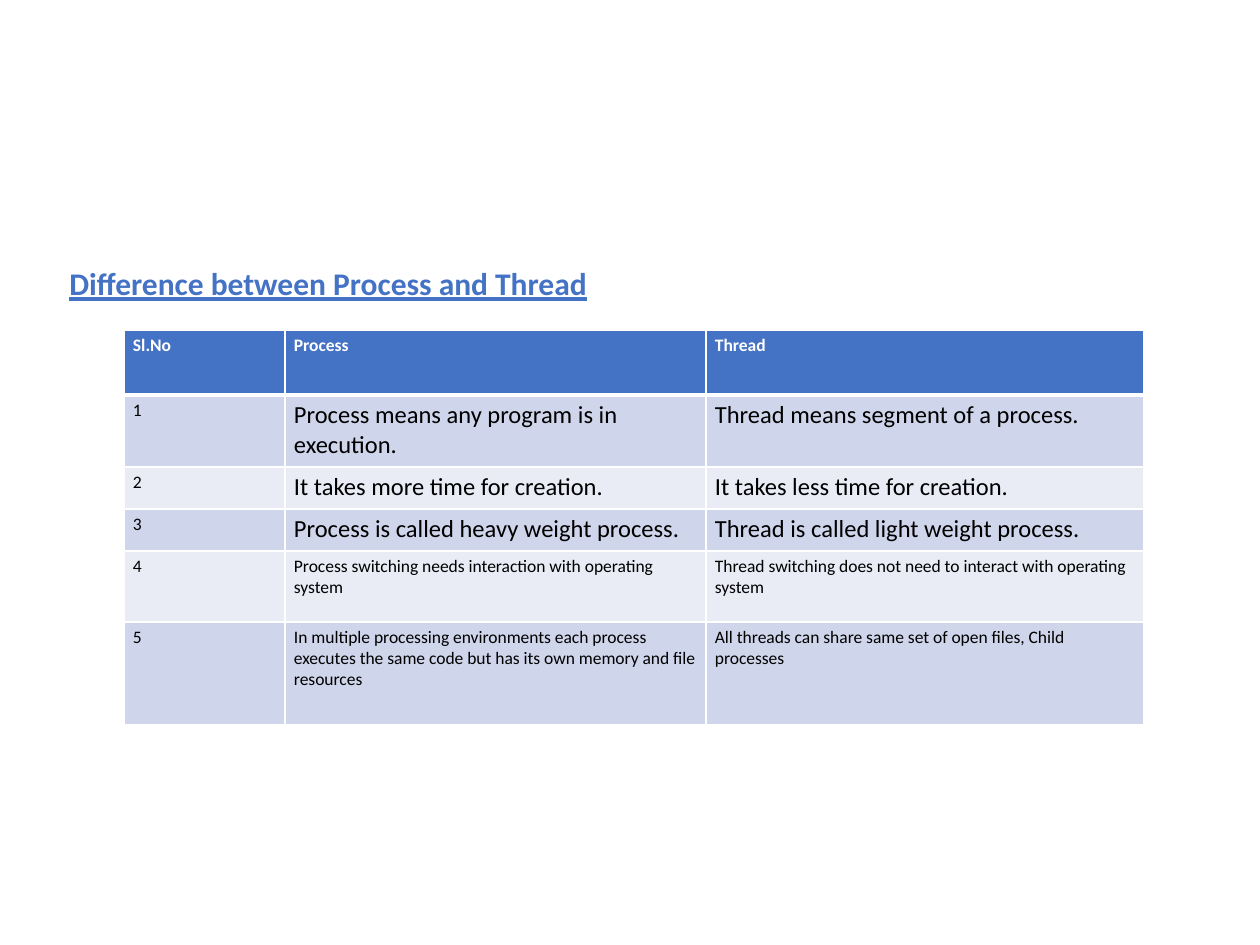
"""Build a slide with a table of the differences between process and thread."""
from dataclasses import dataclass

from lxml import etree
from pptx import Presentation
from pptx import util as u
from pptx.dml.color import RGBColor
from pptx.enum import text
from pptx.oxml.ns import qn

EMU_PER_PX = 914400 / 126
BLUE = RGBColor(0x44, 0x72, 0xC4)
WHITE = RGBColor(0xFF, 0xFF, 0xFF)
BLACK = RGBColor(0, 0, 0)
BAND_DARK = RGBColor(0xCF, 0xD5, 0xEA)
BAND_LIGHT = RGBColor(0xE9, 0xEB, 0xF5)
COLUMN_WIDTHS = (161, 421, 438)


@dataclass(frozen=True)
class Row:
    """One table row: its height in px, its texts and the size of the last two."""
    height: int
    texts: tuple[str, str, str]
    size: int = 10


ROWS = (
    Row(65, ("Sl.No", "Process", "Thread")),
    Row(72, ("1", "Process means any program is in execution.",
             "Thread means segment of a process."), 14),
    Row(42, ("2", "It takes more time for creation.",
             "It takes less time for creation."), 14),
    Row(42, ("3", "Process is called heavy weight process.",
             "Thread is called light weight process."), 14),
    Row(71, ("4", "Process switching needs interaction with operating system",
             "Thread switching does not need to interact with operating system")),
    Row(103, ("5", "In multiple processing environments each process executes the same "
              "code but has its own memory and file resources",
              "All threads can share same set of open files, Child processes")),
)


def px(length: int) -> u.Emu:
    """Turn px into EMU."""
    return u.Emu(round(length * EMU_PER_PX))


def style_font(font, size: int, color: RGBColor, bold: bool) -> None:
    """Set the look of one run."""
    font.name = "Calibri"
    font.size = u.Pt(size)
    font.bold = bold
    font.color.rgb = color


def draw_borders(cell, top: int, bottom: int) -> None:
    """Give a cell white borders, with the top and bottom widths in points."""
    properties = cell._tc.get_or_add_tcPr()
    sides = (("a:lnL", 1), ("a:lnR", 1), ("a:lnT", top), ("a:lnB", bottom))
    for index, (tag, width) in enumerate(sides):
        line = etree.Element(qn(tag), w=str(u.Pt(width)))
        fill = etree.SubElement(line, qn("a:solidFill"))
        etree.SubElement(fill, qn("a:srgbClr"), val=str(WHITE))
        properties.insert(index, line)


def fill_cell(cell, wording: str, row_index: int, size: int) -> None:
    """Write and style one cell according to its row."""
    header = row_index == 0
    cell.margin_left = cell.margin_right = px(9)
    cell.margin_top = cell.margin_bottom = px(5)
    cell.text_frame.text = wording
    style_font(cell.text_frame.paragraphs[0].runs[0].font, size,
               WHITE if header else BLACK, header)
    cell.fill.solid()
    band = BAND_DARK if row_index % 2 else BAND_LIGHT
    cell.fill.fore_color.rgb = BLUE if header else band
    draw_borders(cell, 3 if row_index == 1 else 1, 3 if header else 1)


def add_title(page) -> None:
    """Add the underlined heading."""
    box = page.shapes.add_textbox(px(57), px(258), px(1177), px(146))
    box.text_frame.word_wrap = True
    box.text_frame.text = "Difference between Process and Thread"
    para = box.text_frame.paragraphs[0]
    para.alignment = text.PP_ALIGN.JUSTIFY
    span = para.runs[0]
    style_font(span.font, 18, BLUE, True)
    span.font.underline = True


def add_comparison(page) -> None:
    """Add the table that compares process and thread."""
    frame = page.shapes.add_table(
        len(ROWS), len(COLUMN_WIDTHS), px(124), px(330),
        px(sum(COLUMN_WIDTHS)), px(sum(row.height for row in ROWS)))
    table = frame.table
    for column, width in zip(table.columns, COLUMN_WIDTHS):
        column.width = px(width)
    for row_index, row in enumerate(ROWS):
        table.rows[row_index].height = px(row.height)
        for column_index, wording in enumerate(row.texts):
            size = row.size if column_index else 10
            fill_cell(table.cell(row_index, column_index), wording, row_index, size)


def main() -> None:
    """Build and save the deck."""
    deck = Presentation()
    deck.slide_width, deck.slide_height = px(1260), px(945)
    page = deck.slides.add_slide(deck.slide_layouts[6])
    add_title(page)
    add_comparison(page)
    deck.save("out.pptx")


if __name__ == "__main__":
    main()
